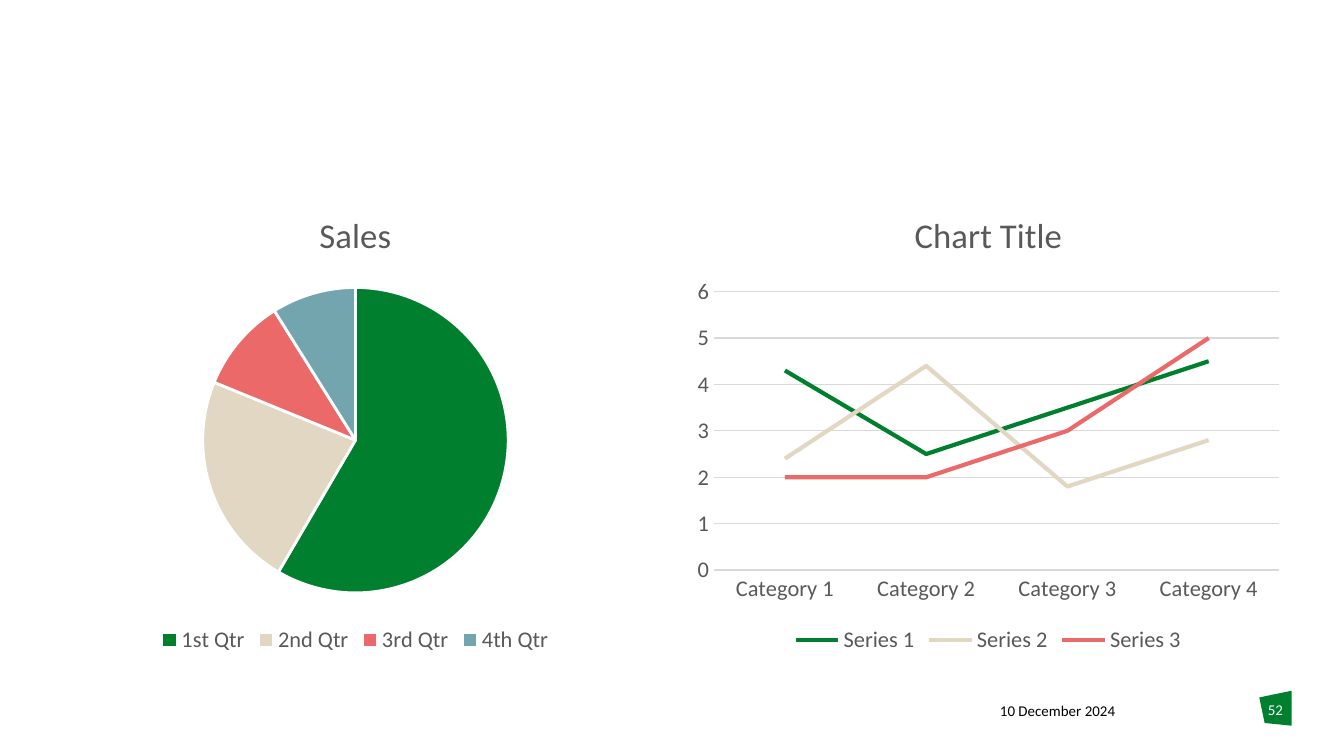
from dataclasses import dataclass

from pptx import Presentation
from pptx.chart.data import CategoryChartData
from pptx.dml.color import RGBColor
from pptx.enum.chart import XL_CHART_TYPE as Kind, XL_LEGEND_POSITION as Legend
from pptx.enum.chart import XL_MARKER_STYLE as Marker, XL_TICK_MARK as Tick
from pptx.enum.text import MSO_ANCHOR, PP_ALIGN
from pptx.util import Inches, Pt

# 16:9 slide and two-column grid, in inches
WIDTH = 10
HEIGHT = WIDTH * 9 / 16
MARGIN, GAP = 0.39, 0.2
COL_W = (WIDTH - 2 * MARGIN - GAP) / 2
ROW_TOP, ROW_H = 1.4, 3.5

FONT = "Calibri"
GREY, RULE, WHITE = "595959", "D9D9D9", "FFFFFF"
PALETTE = ["00802F", "E1D7C3", "EB6969", "73A5AF"]


@dataclass
class ChartSpec:
    column: int
    kind: Kind
    title: str
    categories: list[str]
    series: dict[str, list[float]]


@dataclass
class Label:
    text: str
    box: tuple[float, float, float, float]
    color: str
    align: PP_ALIGN


CHARTS = [
    ChartSpec(0, Kind.PIE, "Sales",
              ["1st Qtr", "2nd Qtr", "3rd Qtr", "4th Qtr"],
              {"Sales": [59, 23, 10, 9]}),
    ChartSpec(1, Kind.LINE, "Chart Title",
              [f"Category {n}" for n in range(1, 5)],
              {"Series 1": [4.3, 2.5, 3.5, 4.5],
               "Series 2": [2.4, 4.4, 1.8, 2.8],
               "Series 3": [2, 2, 3, 5]}),
]
LABELS = [
    Label("10 December 2024", (7.44, 5.22, 1.29, 0.2), "000000", PP_ALIGN.LEFT),
    Label("52", (9.37, 5.21, 0.24, 0.3), WHITE, PP_ALIGN.CENTER),
]
BADGE = [(9.37, 5.19), (9.61, 5.14), (9.61, 5.4), (9.41, 5.38)]


def rgb(color: str) -> RGBColor:
    return RGBColor.from_string(color)


def set_attrs(target, **values) -> None:
    for name, value in values.items():
        setattr(target, name, value)


def style_font(font, size: float, color: str) -> None:
    set_attrs(font, name=FONT, size=Pt(size), bold=False)
    font.color.rgb = rgb(color)


def style_line(line, color: str, width: float) -> None:
    line.color.rgb = rgb(color)
    line.width = Pt(width)


def style_pie(chart) -> None:
    plot = chart.plots[0]
    plot.vary_by_categories = True
    for i, color in enumerate(PALETTE):
        fmt = plot.series[0].points[i].format
        fmt.fill.solid()
        fmt.fill.fore_color.rgb = rgb(color)
        style_line(fmt.line, WHITE, 1.5)


def style_lines(chart) -> None:
    chart.plots[0].vary_by_categories = False
    for ser, color in zip(chart.plots[0].series, PALETTE):
        ser.smooth = False
        ser.marker.style = Marker.NONE
        style_line(ser.format.line, color, 2.25)
    cat, val = chart.category_axis, chart.value_axis
    for axis in (cat, val):
        set_attrs(axis, major_tick_mark=Tick.NONE, minor_tick_mark=Tick.NONE)
        style_font(axis.tick_labels.font, 12, GREY)
    style_line(cat.format.line, RULE, 0.75)
    set_attrs(val, minimum_scale=0, maximum_scale=6, major_unit=1,
              has_major_gridlines=True)
    val.format.line.fill.background()
    style_line(val.major_gridlines.format.line, RULE, 0.75)


def draw_chart(slide, spec: ChartSpec) -> None:
    data = CategoryChartData()
    data.categories = spec.categories
    for name, values in spec.series.items():
        data.add_series(name, values)
    left = MARGIN + spec.column * (COL_W + GAP)
    box = map(Inches, (left, ROW_TOP, COL_W, ROW_H))
    chart = slide.shapes.add_chart(spec.kind, *box, data).chart
    style_font(chart.font, 10, "000000")

    # Title and legend
    chart.has_title = True
    chart.chart_title.include_in_layout = False
    p = chart.chart_title.text_frame.paragraphs[0]
    r = p.add_run()
    r.text = spec.title
    style_font(r.font, 18.6, GREY)
    chart.has_legend = True
    set_attrs(chart.legend, position=Legend.BOTTOM, include_in_layout=False)
    style_font(chart.legend.font, 12, GREY)

    if spec.kind == Kind.PIE:
        style_pie(chart)
    else:
        style_lines(chart)


def draw_badge(slide) -> None:
    points = [(Inches(x), Inches(y)) for x, y in BADGE]
    builder = slide.shapes.build_freeform(*points[0])
    builder.add_line_segments(points[1:], close=True)
    sp = builder.convert_to_shape()
    sp.shadow.inherit = False
    sp.fill.solid()
    sp.fill.fore_color.rgb = rgb(PALETTE[0])
    sp.line.fill.background()


def draw_label(slide, label: Label) -> None:
    tf = slide.shapes.add_textbox(*map(Inches, label.box)).text_frame
    set_attrs(tf, word_wrap=True, vertical_anchor=MSO_ANCHOR.TOP, margin_left=0,
              margin_top=0, margin_right=0, margin_bottom=0)
    p = tf.paragraphs[0]
    p.alignment = label.align
    r = p.add_run()
    r.text = label.text
    style_font(r.font, 8, label.color)


def main() -> None:
    prs = Presentation()
    set_attrs(prs, slide_width=Inches(WIDTH), slide_height=Inches(HEIGHT))
    slide = prs.slides.add_slide(prs.slide_layouts[6])
    # Footer badge, charts, then footer text
    draw_badge(slide)
    for spec in CHARTS:
        draw_chart(slide, spec)
    for label in LABELS:
        draw_label(slide, label)
    prs.save("out.pptx")


if __name__ == "__main__":
    main()
